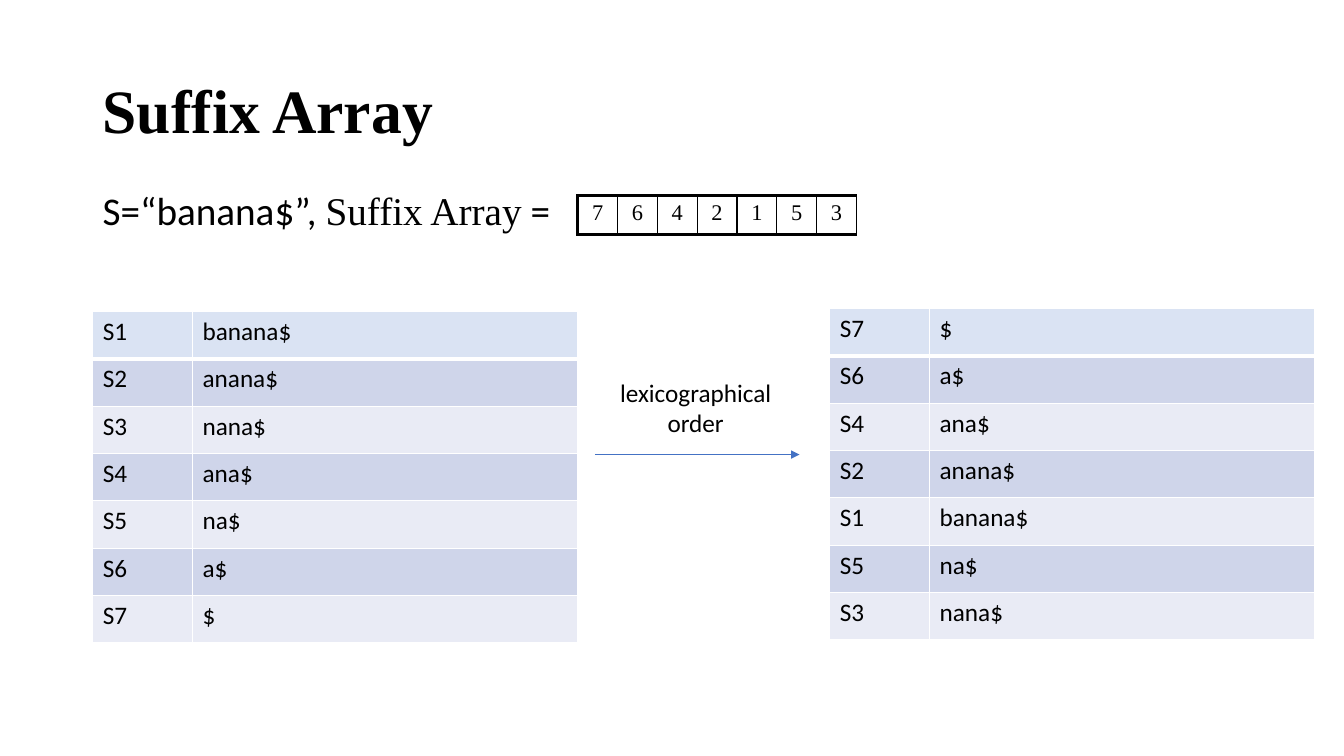
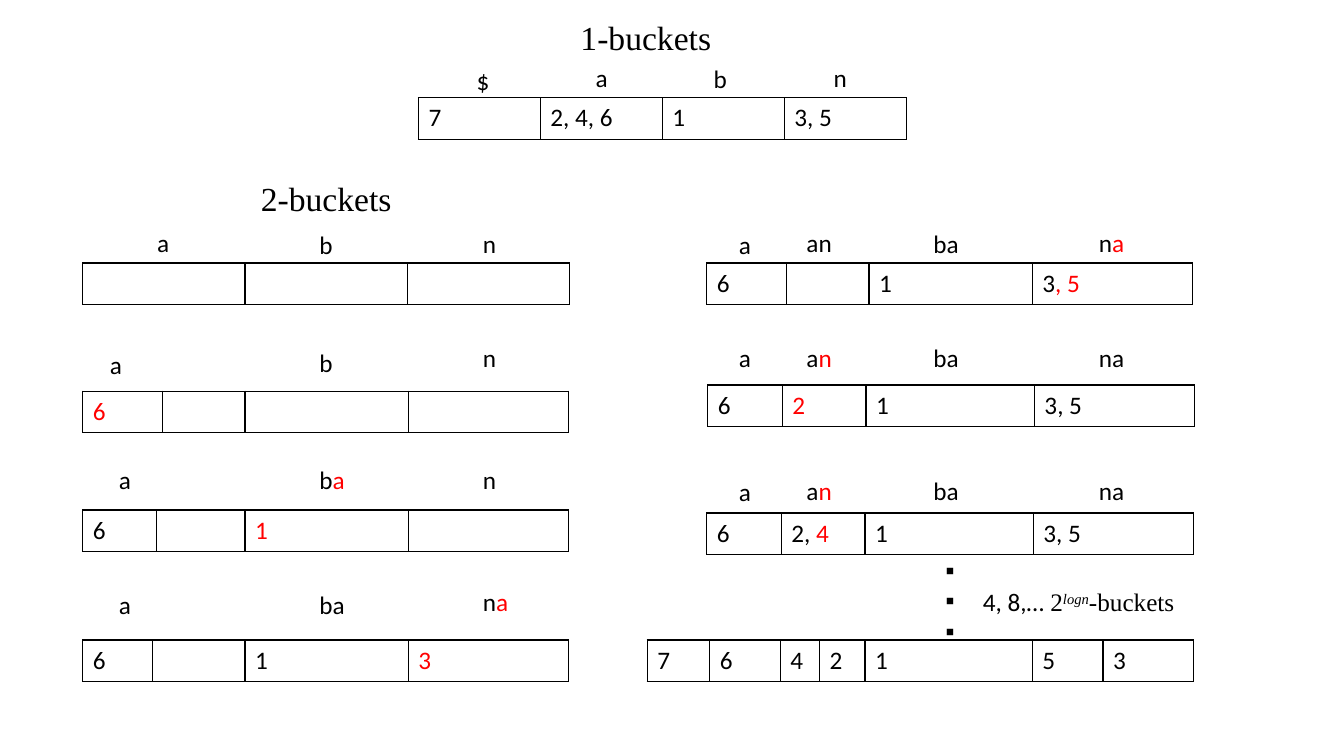
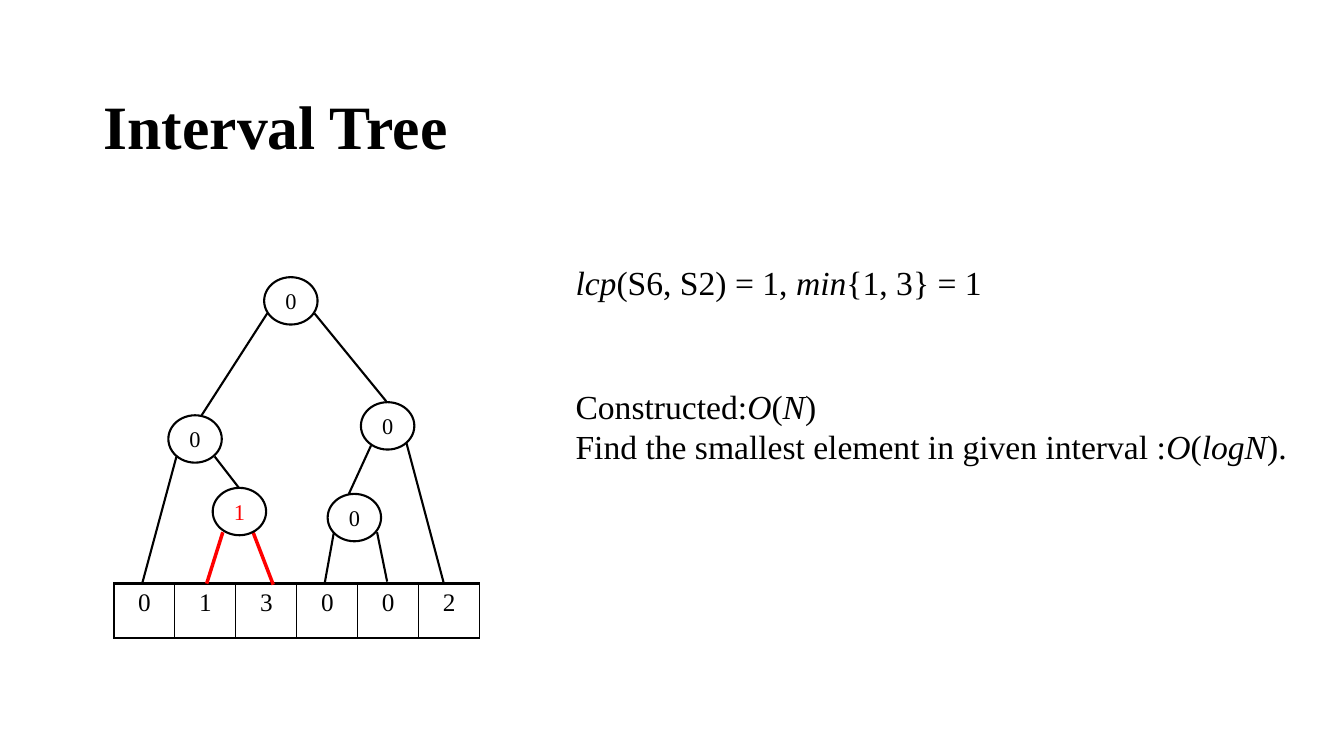
"""Build three slides on suffix arrays, buckets and the interval tree."""
import pptx
import pptx.dml.color
import pptx.enum.shapes
import pptx.enum.text
import pptx.oxml.ns
import pptx.util
from lxml import etree

Inches = pptx.util.Inches
Pt = pptx.util.Pt
Color = pptx.dml.color.RGBColor
Align = pptx.enum.text.PP_ALIGN
Anchor = pptx.enum.text.MSO_ANCHOR
Shape = pptx.enum.shapes.MSO_SHAPE
qn = pptx.oxml.ns.qn

BLACK = Color(0, 0, 0)
WHITE = Color(255, 255, 255)
RED = Color(255, 0, 0)
BLUE = Color(0x44, 0x72, 0xC4)
HEAD = Color(0xDA, 0xE3, 0xF3)
BANDS = [Color(0xE9, 0xEB, 0xF5), Color(0xCF, 0xD5, 0xEA)]

SANS = {"name": "Calibri", "size": Pt(18)}
SERIF = {"name": "Times New Roman", "size": Pt(24)}
TITLE = {**SERIF, "size": Pt(44), "bold": True}
SMALL = {**SERIF, "size": Pt(16)}
ITAL = {"italic": True}
POWER = {**SERIF, "size": Pt(18)}


def write(frame, lines, look, align=Align.LEFT, wrap=True, space=1.0):
    """Fill a frame; each line is a run list, or a string that turns red at *."""
    frame.word_wrap = wrap
    for i, line in enumerate(lines):
        para = frame.add_paragraph() if i else frame.paragraphs[0]
        para.alignment = align
        para.line_spacing = space
        if isinstance(line, str):
            head, _, tail = line.partition("*")
            line = [(head, {}), (tail, {"color": RED})]
        for text, extra in line:
            if not text:
                continue
            run = para.add_run()
            run.text = text
            style = {"color": BLACK, **look, **extra}
            run.font.color.rgb = style.pop("color")
            base = style.pop("base", None)
            for key, value in style.items():
                setattr(run.font, key, value)
            if base:
                run.font._element.set("baseline", base)


def grid(slide, left, top, cols, high, rows, look, edge, fill=None, align=Align.LEFT):
    """Add a table; edge and fill give side widths with colour, and fill, by row and column."""
    frame = slide.shapes.add_table(len(rows), len(cols), Inches(left), Inches(top),
                                   Inches(sum(cols)), Inches(high * len(rows)))
    table = frame.table
    table.first_row = table.horz_banding = False
    for col, width in zip(table.columns, cols):
        col.width = Inches(width)
    for r, texts in enumerate(rows):
        table.rows[r].height = Inches(high)
        for c, text in enumerate(texts):
            cell = table.cell(r, c)
            write(cell.text_frame, [text], look, align)
            color, widths = edge(r, c)
            props = cell._tc.get_or_add_tcPr()
            for side, width in zip("LRTB", widths):
                line = etree.SubElement(props, qn("a:ln" + side), w=str(Pt(width)))
                solid = etree.SubElement(line, qn("a:solidFill"))
                etree.SubElement(solid, qn("a:srgbClr"), val=str(color))
            if fill:
                cell.fill.solid()
                cell.fill.fore_color.rgb = fill(r)
            else:
                cell.fill.background()


deck = pptx.Presentation()
deck.slide_width, deck.slide_height = Inches(13.33), Inches(7.5)
array, bucket, tree = [deck.slides.add_slide(deck.slide_layouts[6]) for _ in range(3)]

for slide, left, top, text in [(array, 0.92, 0.4, "Suffix Array"),
                               (tree, 0.93, 0.56, "Interval Tree")]:
    box = slide.shapes.add_textbox(Inches(left), Inches(top), Inches(11.5), Inches(1.45))
    box.text_frame.vertical_anchor = Anchor.MIDDLE
    write(box.text_frame, [text], TITLE, space=0.9)

word = "banana$"
order = sorted(range(len(word)), key=lambda i: word[i:])
for left, top, starts in [(0.92, 3.09, range(len(word))), (8.23, 3.06, order)]:
    grid(array, left, top, [0.99, 3.82], 0.47, [[f"S{i + 1}", word[i:]] for i in starts], SANS,
         lambda r, c: (WHITE, (1, 1, 1 if r != 1 else 3, 1 if r else 3)),
         lambda r: BANDS[r % 2] if r else HEAD)
grid(array, 5.73, 1.94, [0.395] * len(word), 0.39, [[str(i + 1) for i in order]], SMALL,
     lambda r, c: (BLACK, (1 if c else 2.25, 1, 2.25, 2.25)), align=Align.CENTER)
box = array.shapes.add_textbox(Inches(0.92), Inches(1.85), Inches(11.5), Inches(4.76))
write(box.text_frame, [[("S=“banana$”, ", {}), ("Suffix Array", {"name": "Times New Roman"}),
                        (" =", {})]], {**SANS, "size": Pt(28)}, space=0.9)

buckets = [
    (4.15, 0.97, [1.21] * 4, ["7", "2, 4, 6", "1", "3, 5"],
     [(4.63, 0.6, "$"), (5.81, 0.57, "a"), (6.98, 0.58, "b"), (8.17, 0.57, "n")]),
    (0.82, 2.61, [1.61] * 3, ["", "", ""],
     [(1.46, 2.21, "a"), (3.07, 2.23, "b"), (4.69, 2.22, "n")]),
    (0.82, 3.88, [0.79, 0.82, 1.62, 1.59], ["*6", "", "", ""],
     [(0.99, 3.42, "a"), (3.07, 3.4, "b"), (4.69, 3.35, "n")]),
    (0.82, 5.06, [0.73, 0.88, 1.62, 1.59], ["6", "", "*1", ""],
     [(1.08, 4.56, "a"), (3.07, 4.56, "b*a"), (4.69, 4.56, "n")]),
    (0.82, 6.35, [0.69, 0.92, 1.62, 1.59], ["6", "", "1", "*3"],
     [(1.08, 5.8, "a"), (3.07, 5.8, "ba"), (4.69, 5.77, "n*a")]),
    (7.01, 2.61, [0.79, 0.82, 1.62, 1.59], ["6", "", "1", "3*, 5"],
     [(7.23, 2.23, "a"), (7.9, 2.21, "an"), (9.16, 2.22, "ba"), (10.8, 2.21, "n*a")]),
    (7.02, 3.82, [0.74, 0.83, 1.67, 1.59], ["6", "*2", "1", "3, 5"],
     [(7.23, 3.35, "a"), (7.9, 3.35, "a*n"), (9.16, 3.35, "ba"), (10.8, 3.35, "na")]),
    (7.01, 5.09, [0.74, 0.83, 1.67, 1.59], ["6", "2, *4", "1", "3, 5"],
     [(7.23, 4.68, "a"), (7.9, 4.67, "a*n"), (9.16, 4.67, "ba"), (10.8, 4.67, "na")]),
    (6.42, 6.35, [0.62, 0.7, 0.39, 0.45, 1.66, 0.7, 0.9], list("7642153"), []),
]
for left, top, cols, texts, labels in buckets:
    grid(bucket, left, top, cols, 0.41, [texts], SANS,
         lambda r, c: (BLACK, (1, 1, 1, 1)), lambda r: WHITE)
    for x, y, text in labels:
        width = 0.53 if text[0] == "b" else 0.32 if len(text) == 1 else 0.48
        box = bucket.shapes.add_textbox(Inches(x), Inches(y), Inches(width), Inches(0.4))
        write(box.text_frame, [text], SANS)

notes = [
    (array, 5.9, 3.69, 2, 0.71, SANS, Align.CENTER, ["lexicographical order"]),
    (bucket, 5.65, 0.12, 1.51, 0.5, SERIF, Align.CENTER, ["1-buckets"]),
    (bucket, 2.48, 1.72, 1.51, 0.5, SERIF, Align.CENTER, ["2-buckets"]),
    (bucket, 9.28, 5.45, 0.37, 1.01, SANS, Align.LEFT, ["▪"] * 3),
    (bucket, 9.65, 5.77, 2.27, 0.4, SANS, Align.LEFT,
     [[("4, 8,…", {}), (" 2", POWER), ("logn", {**POWER, **ITAL, "base": "30000"}),
       ("-buckets", POWER)]]),
    (tree, 5.61, 2.55, 4.54, 0.5, SERIF, Align.LEFT,
     [[("lcp", ITAL), ("(S6, S2) = 1, ", {}), ("min", ITAL), ("{1, 3} = 1", {})]]),
    (tree, 5.61, 3.78, 7.34, 0.91, SERIF, Align.LEFT,
     [[("Constructed:", {}), ("O", ITAL), ("(", {}), ("N", ITAL), (")", {})],
      [("Find the smallest element in given interval :", {}), ("O", ITAL), ("(", {}),
       ("logN", ITAL), (").", {})]]),
]
for slide, left, top, width, high, look, align, lines in notes:
    box = slide.shapes.add_textbox(Inches(left), Inches(top), Inches(width), Inches(high))
    write(box.text_frame, lines, look, align)

grid(tree, 1.13, 5.79, [0.605] * 6, 0.54, [list("013002")], POWER,
     lambda r, c: (BLACK, (1, 1, 2.25, 2.25)), align=Align.CENTER)

links = [
    (array, 5.9, 4.51, 7.93, 4.51, BLUE, 0.5),
    (tree, 3.84, 5.77, 3.74, 5.28, BLACK, 1.5),
    (tree, 3.22, 5.79, 3.31, 5.29, BLACK, 1.5),
    (tree, 4.4, 5.78, 4.03, 4.39, BLACK, 1.5),
    (tree, 3.46, 4.9, 3.68, 4.42, BLACK, 1.5),
    (tree, 1.41, 5.79, 1.75, 4.53, BLACK, 1.5),
    (tree, 2.37, 4.84, 2.13, 4.53, BLACK, 1.5),
    (tree, 3.83, 3.98, 3.12, 3.11, BLACK, 1.5),
    (tree, 2, 4.12, 2.65, 3.11, BLACK, 1.5),
    (tree, 2.71, 5.8, 2.51, 5.28, RED, 2.5),
    (tree, 2.05, 5.79, 2.21, 5.28, RED, 2.5),
]
for slide, *ends, color, width in links:
    link = slide.shapes.add_connector(pptx.enum.shapes.MSO_CONNECTOR.STRAIGHT,
                                      *[Inches(end) for end in ends])
    link.line.color.rgb = color
    link.line.width = Pt(width)
    props = link._element.spPr
    if slide is array:
        etree.SubElement(props.find(qn("a:ln")), qn("a:tailEnd"), type="triangle")
    etree.SubElement(props, qn("a:effectLst"))

for left, top, text in [(2.62, 2.75, "0"), (1.67, 4.12, "0"), (3.58, 3.99, "0"),
                        (2.11, 4.84, "*1"), (3.25, 4.9, "0")]:
    node = tree.shapes.add_shape(Shape.OVAL, Inches(left), Inches(top), Inches(0.53), Inches(0.47))
    node.shadow.inherit = False
    node.fill.solid()
    node.fill.fore_color.rgb = WHITE
    node.line.color.rgb = BLACK
    node.line.width = Pt(1.5)
    node.text_frame.vertical_anchor = Anchor.MIDDLE
    write(node.text_frame, [text], SMALL, Align.CENTER, wrap=False)

deck.save("out.pptx")
